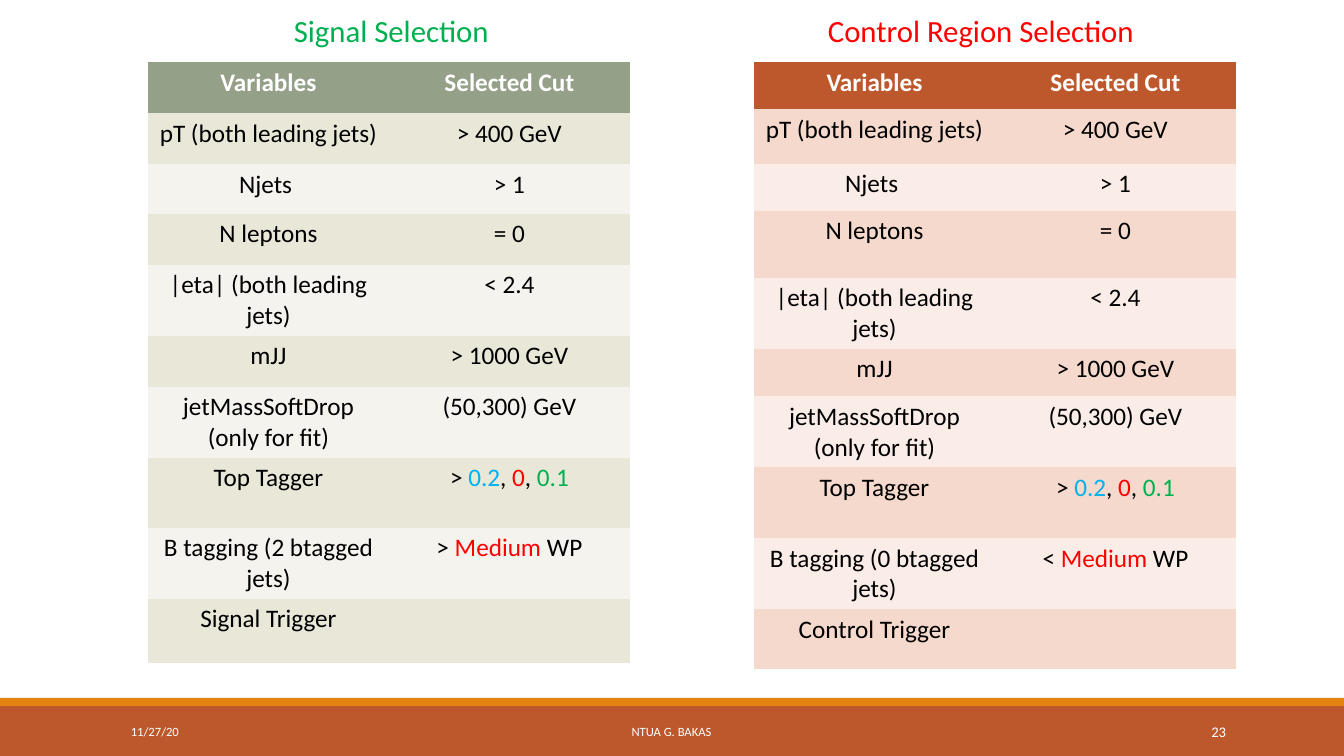
from pptx import Presentation
from pptx.dml.color import RGBColor
from pptx.enum.shapes import MSO_SHAPE
from pptx.enum.text import MSO_ANCHOR, PP_ALIGN
from pptx.oxml.ns import qn
from pptx.util import Pt

RECT = MSO_SHAPE.RECTANGLE
TOP, MIDDLE = MSO_ANCHOR.TOP, MSO_ANCHOR.MIDDLE
LEFT, CENTER, RIGHT = PP_ALIGN.LEFT, PP_ALIGN.CENTER, PP_ALIGN.RIGHT
SCALE = 914400 / 100.8
WIDTH, HEIGHT = 1344, 756
NO_GRID = "{2D5ABB26-0587-4C30-8999-92F81FD0307C}"
WHITE, BLACK = "FFFFFF", "000000"
RED, GREEN, BLUE = "FF0000", "00B050", "00B0F0"
RUST, ORANGE, SAGE = "BD582C", "E48312", "94A088"


def emu(px):
    return round(px * SCALE)


def color(code):
    return RGBColor.from_string(code)


class Painter:
    """Draws the elements of one slide in a shared style."""

    def __init__(self, slide, font):
        self.slide = slide
        self.font = font

    def paint(self, item, code):
        item.fill.solid()
        item.fill.fore_color.rgb = color(code)

    def letter(self, para, runs, size, align, bold=False):
        para.alignment = align
        style = {"name": self.font, "size": Pt(size), "bold": bold}
        for text, code in runs:
            run = para.add_run()
            run.text = text
            for key, value in style.items():
                setattr(run.font, key, value)
            run.font.color.rgb = color(code)

    def bar(self, box, code):
        shape = self.slide.shapes.add_shape(RECT, *map(emu, box))
        shape.shadow.inherit = False
        self.paint(shape, code)
        shape.line.fill.background()

    def label(self, box, text, code, size, align=LEFT, anchor=MIDDLE):
        frame = self.slide.shapes.add_textbox(*map(emu, box)).text_frame
        for key, value in {"word_wrap": True, "vertical_anchor": anchor}.items():
            setattr(frame, key, value)
        self.letter(frame.paragraphs[0], [(text, code)], size, align)

    def table(self, left, top, width, heights, rows, head, bands):
        box = map(emu, (left, top, width, sum(heights)))
        table = self.slide.shapes.add_table(len(rows), 2, *box).table
        table.first_row = table.horz_banding = False
        table._tbl.tblPr.find(qn("a:tableStyleId")).text = NO_GRID
        for i, (height, row) in enumerate(zip(heights, rows)):
            table.rows[i].height = emu(height)
            for j, runs in enumerate(row):
                cell = table.cell(i, j)
                self.paint(cell, bands[(i + 1) % 2] if i else head)
                self.letter(cell.text_frame.paragraphs[0], runs, 18, CENTER, i == 0)


def plain(text, code=BLACK):
    return [(text, code)]


def cuts(count, sign, trigger):
    tagger = [("> ", BLACK), ("0.2", BLUE), (", ", BLACK), ("0", RED),
              (", ", BLACK), ("0.1", GREEN)]
    medium = [(sign + " ", BLACK), ("Medium", RED), (" WP", BLACK)]
    return [
        (plain("Variables", WHITE), plain("Selected Cut", WHITE)),
        (plain("pT (both leading jets) "), plain("> 400 GeV")),
        (plain("Njets "), plain("> 1")),
        (plain("N leptons"), plain("= 0")),
        (plain("|eta| (both leading jets)"), plain("< 2.4")),
        (plain("mJJ"), plain("> 1000 GeV")),
        (plain("jetMassSoftDrop (only for fit)"), plain("(50,300) GeV")),
        (plain("Top Tagger"), tagger),
        (plain(f"B tagging ({count} btagged jets)"), medium),
        (plain(trigger + " Trigger"), []),
    ]


def main():
    deck = Presentation()
    deck.slide_width, deck.slide_height = emu(WIDTH), emu(HEIGHT)
    page = Painter(deck.slides.add_slide(deck.slide_layouts[6]), "Calibri")

    page.bar((0, 706, WIDTH, 50), RUST)
    page.bar((0, 698, WIDTH, 8), ORANGE)
    page.label((121, 712, 272, 40), "11/27/20", WHITE, 9)
    page.label((406, 712, 531, 40), "NTUA G. BAKAS", WHITE, 9, CENTER)
    page.label((1092, 712, 144, 40), "23", WHITE, 10.5, RIGHT)

    page.label((284, 7, 224, 47), "Signal Selection", GREEN, 22, LEFT, TOP)
    page.table(148, 62, 482, (51, 51, 50, 51, 71, 51, 71, 70, 71, 64),
               cuts(2, ">", "Signal"), SAGE, ("E9E7D8", "F4F3ED"))

    page.label((818, 7, 363, 47), "Control Region Selection", RED, 22, LEFT, TOP)
    page.table(754, 62, 482, (47, 55, 47, 67, 70, 48, 70, 71, 71, 60),
               cuts(0, "<", "Control"), RUST, ("F5D9CC", "FAEDE7"))

    deck.save("out.pptx")


if __name__ == "__main__":
    main()
